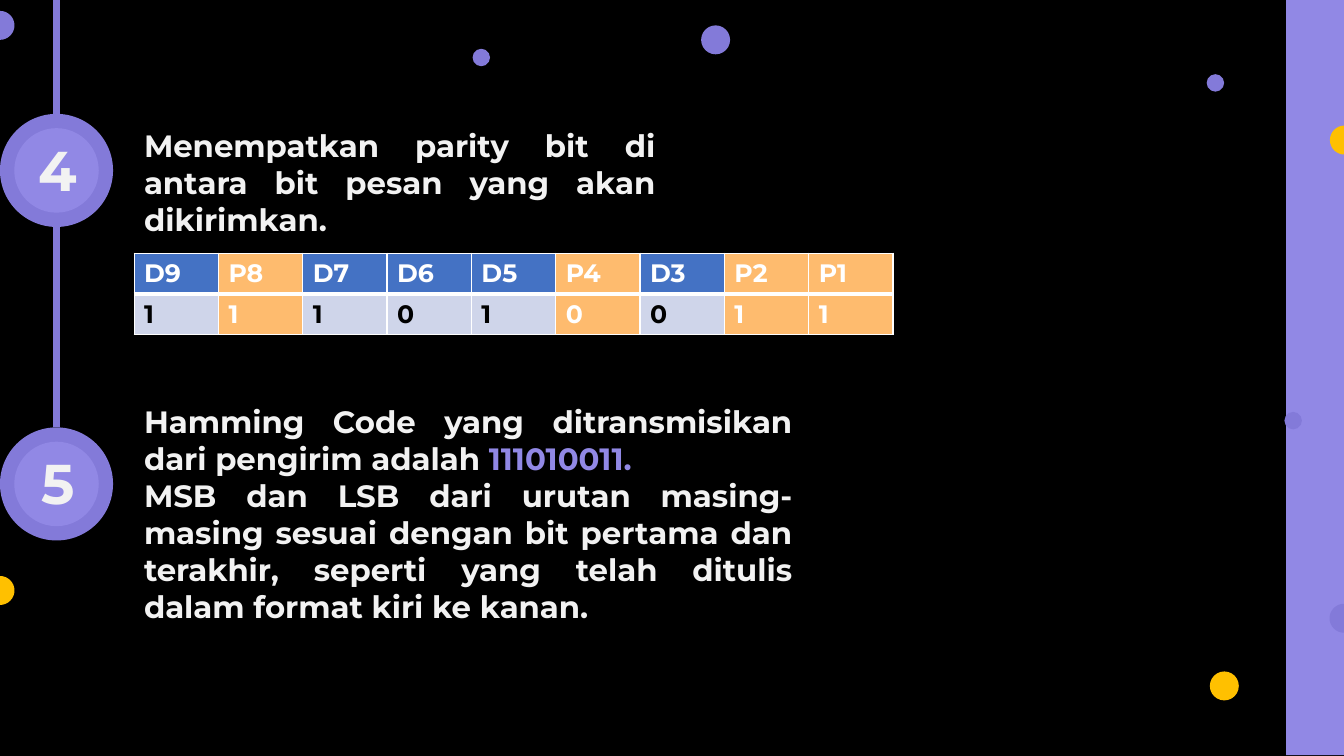
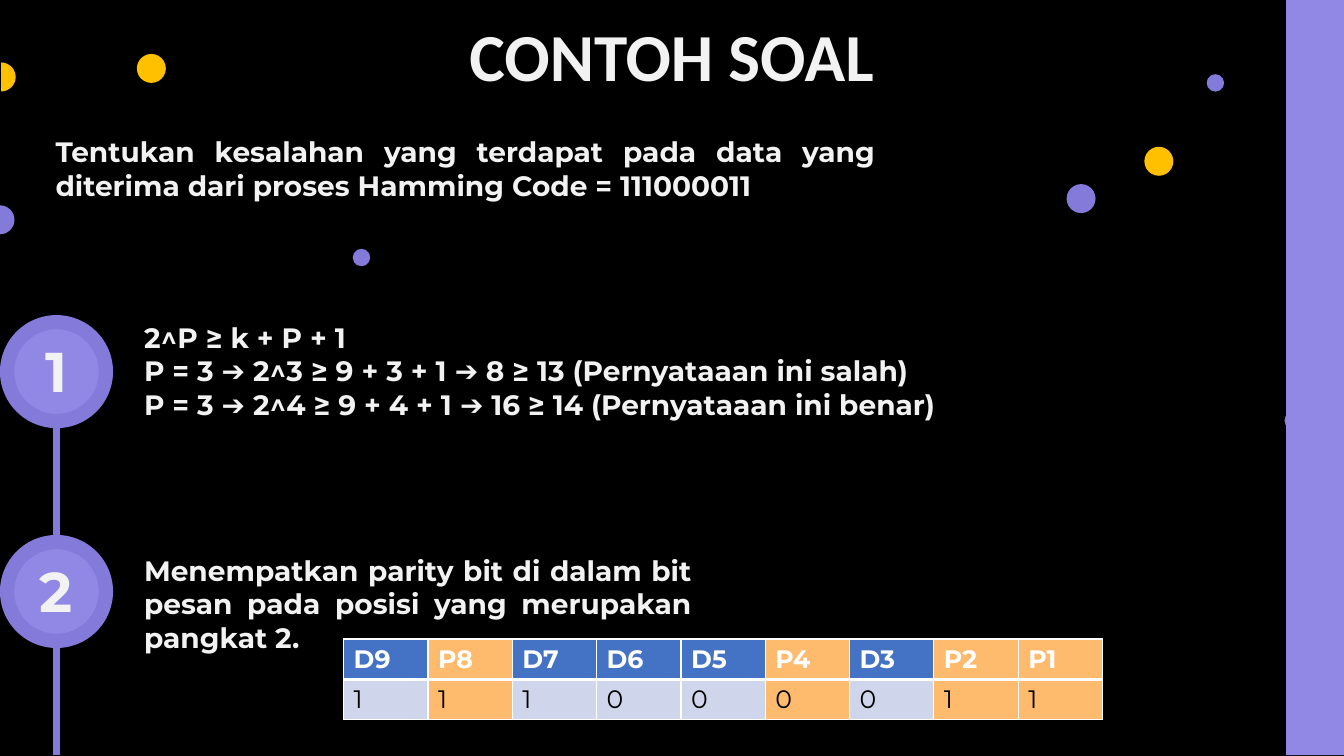
from lxml import etree
from pptx import Presentation
from pptx.dml.color import RGBColor
from pptx.enum.shapes import MSO_CONNECTOR, MSO_SHAPE
from pptx.enum.text import MSO_ANCHOR, MSO_AUTO_SIZE, PP_ALIGN
from pptx.oxml.ns import qn
from pptx.util import Cm, Pt

OVAL, RECTANGLE = MSO_SHAPE.OVAL, MSO_SHAPE.RECTANGLE
STRAIGHT = MSO_CONNECTOR.STRAIGHT
LEFT, CENTER, JUSTIFY = PP_ALIGN.LEFT, PP_ALIGN.CENTER, PP_ALIGN.JUSTIFY
MIDDLE, NO_AUTOFIT = MSO_ANCHOR.MIDDLE, MSO_AUTO_SIZE.NONE

BLACK = RGBColor(0x00, 0x00, 0x00)
WHITE = RGBColor(0xFF, 0xFF, 0xFF)
OFF_WHITE = RGBColor(0xF2, 0xF2, 0xF2)
PURPLE = RGBColor(0x83, 0x7A, 0xD9)
LAVENDER = RGBColor(0x91, 0x88, 0xE5)
YELLOW = RGBColor(0xFF, 0xC0, 0x00)
ORANGE = RGBColor(0xFE, 0xBB, 0x6E)
BLUE = RGBColor(0x44, 0x72, 0xC4)
PALE_BLUE = RGBColor(0xCF, 0xD5, 0xEA)

BODY_FONT, TITLE_FONT = "Montserrat", "Calibri"
SLIDE_W, SLIDE_H = 33.87, 19.05
DISC, INNER_DISC = 2.85, 2.13
SMALL, LARGE = 0.44, 0.73
AXIS_X = DISC / 2
TEXT_X = 3.38
BEZIER = 0.55
BITS = ["D9", "P8", "D7", "D6", "D5", "P4", "D3", "P2", "P1"]
TABLE_W, ROW_H = 19.13, 1.02
BAND = (RECTANGLE, 32.41, 0, 6.25, 19.03, LAVENDER)


def paint(shape, color):
    shape.shadow.inherit = False
    shape.fill.solid()
    shape.fill.fore_color.rgb = color
    shape.line.fill.background()


def style(paragraph, size, align, color=OFF_WHITE, bold=True, font=BODY_FONT):
    paragraph.alignment = align
    for run in paragraph.runs:
        run.font.name = font
        run.font.size = Pt(size)
        run.font.bold = bold
        run.font.color.rgb = color


# Content: positions in cm; a second string in a paragraph is highlighted
pages = [
    {
        "title": None,
        "number_x": 0.68,
        "steps": [("4", 2.87), ("5", 10.77)],
        "lines": [(0, 2.87), (5.54, 10.77)],
        "texts": [
            (TEXT_X, 3.06, 13.39, 3.07, 22, JUSTIFY,
             [["Menempatkan parity bit di antara bit pesan yang akan dikirimkan."]]),
            (TEXT_X, 10.02, 16.84, 5.89, 22, JUSTIFY,
             [["Hamming Code yang ditransmisikan dari pengirim adalah ", "111010011."],
              ["MSB dan LSB dari urutan masing-masing sesuai dengan bit pertama dan "
               "terakhir, seperti yang telah ditulis dalam format kiri ke kanan."]]),
        ],
        "decor": [
            BAND,
            (OVAL, 32.37, 10.38, SMALL, SMALL, PURPLE),
            (OVAL, 30.41, 1.87, SMALL, SMALL, PURPLE),
            (OVAL, 30.49, 16.92, LARGE, LARGE, YELLOW),
            (OVAL, 17.67, 0.64, LARGE, LARGE, PURPLE),
            (OVAL, 11.91, 1.23, SMALL, SMALL, PURPLE),
        ],
        "half_dots": [(SLIDE_W, 15.58, -1, PURPLE), (33.88, 3.53, -1, YELLOW),
                      (0, 14.88, 1, YELLOW), (0, 0.64, 1, PURPLE)],
        "table": (TEXT_X, 6.38, "111010011", True, WHITE),
    },
    {
        "title": "CONTOH SOAL",
        "number_x": 0.64,
        "steps": [("1", 7.94), ("2", 13.48)],
        "lines": [(10.62, 13.48), (16.15, 19.03)],
        "texts": [
            (1.15, 3.27, 21.16, 1.96, 20, JUSTIFY,
             [["Tentukan kesalahan yang terdapat pada data yang diterima dari proses "
               "Hamming Code = 111000011"]]),
            (TEXT_X, 7.94, 21.08, 2.82, 20, LEFT,
             [["2^P ≥ k + P + 1"],
              ["P = 3 ➔ 2^3 ≥ 9 + 3 + 1 ➔ 8 ≥ 13 (Pernyataaan ini salah)"],
              ["P = 3 ➔ 2^4 ≥ 9 + 4 + 1 ➔ 16 ≥ 14 (Pernyataaan ini benar)"]]),
            (TEXT_X, 13.82, 14.3, 2.82, 20, JUSTIFY,
             [["Menempatkan parity bit di dalam bit pesan pada posisi yang merupakan "
               "pangkat 2."]]),
        ],
        "decor": [
            (OVAL, 32.37, 10.38, SMALL, SMALL, PURPLE),
            (OVAL, 30.41, 1.87, SMALL, SMALL, PURPLE),
            (OVAL, 28.84, 3.7, LARGE, LARGE, YELLOW),
            (OVAL, 26.88, 4.64, LARGE, LARGE, PURPLE),
            (OVAL, 8.89, 6.27, SMALL, SMALL, PURPLE),
            (OVAL, 3.45, 1.36, LARGE, LARGE, YELLOW),
            BAND,
        ],
        "half_dots": [(0.03, 1.94, 1, YELLOW), (0, 5.54, 1, PURPLE)],
        "table": (8.66, 16.1, "111000011", False, BLACK),
    },
]

prs = Presentation()
prs.slide_width, prs.slide_height = Cm(SLIDE_W), Cm(SLIDE_H)
title_only, blank = prs.slide_layouts[5], prs.slide_layouts[6]
backdrop = prs.slide_master.background.fill
backdrop.solid()
backdrop.fore_color.rgb = BLACK

for page in pages:
    slide = prs.slides.add_slide(title_only if page["title"] else blank)
    shapes = slide.shapes

    # Title
    if page["title"]:
        title = shapes.title
        title.left, title.top = Cm(9.41), Cm(0.23)
        title.width, title.height = Cm(15.04), Cm(2.31)
        title.text_frame.text = page["title"]
        title.text_frame.auto_size = NO_AUTOFIT
        title.text_frame.vertical_anchor = MIDDLE
        style(title.text_frame.paragraphs[0], 48, CENTER, font=TITLE_FONT)

    # Timeline
    for start, end in page["lines"]:
        stem = shapes.add_connector(STRAIGHT, Cm(AXIS_X), Cm(start), Cm(AXIS_X), Cm(end))
        stem.line.color.rgb = PURPLE
        stem.line.width = Pt(4.5)
        etree.SubElement(stem._element.spPr, qn("a:effectLst"))
    for number, top in page["steps"]:
        for size, color in ((DISC, PURPLE), (INNER_DISC, LAVENDER)):
            inset = (DISC - size) / 2
            paint(shapes.add_shape(OVAL, Cm(inset), Cm(top + inset), Cm(size), Cm(size)), color)
        frame = shapes.add_textbox(Cm(page["number_x"]), Cm(top + 0.42),
                                   Cm(1.57), Cm(1.96)).text_frame
        frame.word_wrap = True
        frame.text = number
        style(frame.paragraphs[0], 40, CENTER)

    # Explanations
    for x, y, w, h, size, align, paragraphs in page["texts"]:
        frame = shapes.add_textbox(Cm(x), Cm(y), Cm(w), Cm(h)).text_frame
        frame.word_wrap = True
        for index, (text, *highlights) in enumerate(paragraphs):
            paragraph = frame.add_paragraph() if index else frame.paragraphs[0]
            paragraph.text = text
            for highlight in highlights:
                paragraph.add_run().text = highlight
            style(paragraph, size, align)
            for run in paragraph.runs[1:]:
                run.font.color.rgb = LAVENDER

    # Band and dots
    for kind, x, y, w, h, color in page["decor"]:
        paint(shapes.add_shape(kind, Cm(x), Cm(y), Cm(w), Cm(h)), color)

    # Half dots at the slide edges: the two slanted sides become quarter circles
    for x, y, side, color in page["half_dots"]:
        r = Cm(LARGE / 2)
        edge, middle = Cm(x), Cm(y)
        outline = shapes.build_freeform(edge, middle - r)
        outline.add_line_segments([(edge + side * r, middle), (edge, middle + r)], close=True)
        half_dot = outline.convert_to_shape()
        paint(half_dot, color)
        flat = 0 if side > 0 else r
        tip, handle = flat + side * r, flat + round(side * BEZIER * r)
        bend = round(BEZIER * r)
        quarters = [[(handle, 0), (tip, r - bend), (tip, r)],
                    [(tip, r + bend), (handle, 2 * r), (flat, 2 * r)]]
        for segment, points in zip(list(half_dot._element.iter(qn("a:lnTo"))), quarters):
            curve = etree.Element(qn("a:cubicBezTo"))
            for px, py in points:
                etree.SubElement(curve, qn("a:pt"), x=str(px), y=str(py))
            segment.getparent().replace(segment, curve)

    # Bit table
    x, y, values, bold_values, parity_color = page["table"]
    table = shapes.add_table(2, len(BITS), Cm(x), Cm(y), Cm(TABLE_W), Cm(ROW_H * 2)).table
    for r, row in enumerate([BITS, values]):
        for c, text in enumerate(row):
            cell = table.cell(r, c)
            parity = BITS[c].startswith("P")
            borders = cell._tc.get_or_add_tcPr()
            for edge in ("lnL", "lnR", "lnT", "lnB"):
                divider = edge == ("lnT" if r else "lnB")
                border = etree.SubElement(borders, qn("a:" + edge), w=str(Pt(3 if divider else 1)))
                fill = etree.SubElement(border, qn("a:solidFill"))
                etree.SubElement(fill, qn("a:srgbClr"), val=str(WHITE))
            cell.fill.solid()
            cell.fill.fore_color.rgb = ORANGE if parity else PALE_BLUE if r else BLUE
            cell.text_frame.text = text
            value_color = parity_color if parity else BLACK
            style(cell.text_frame.paragraphs[0], 18, LEFT,
                  value_color if r else WHITE, bold_values if r else True)

prs.save("out.pptx")
